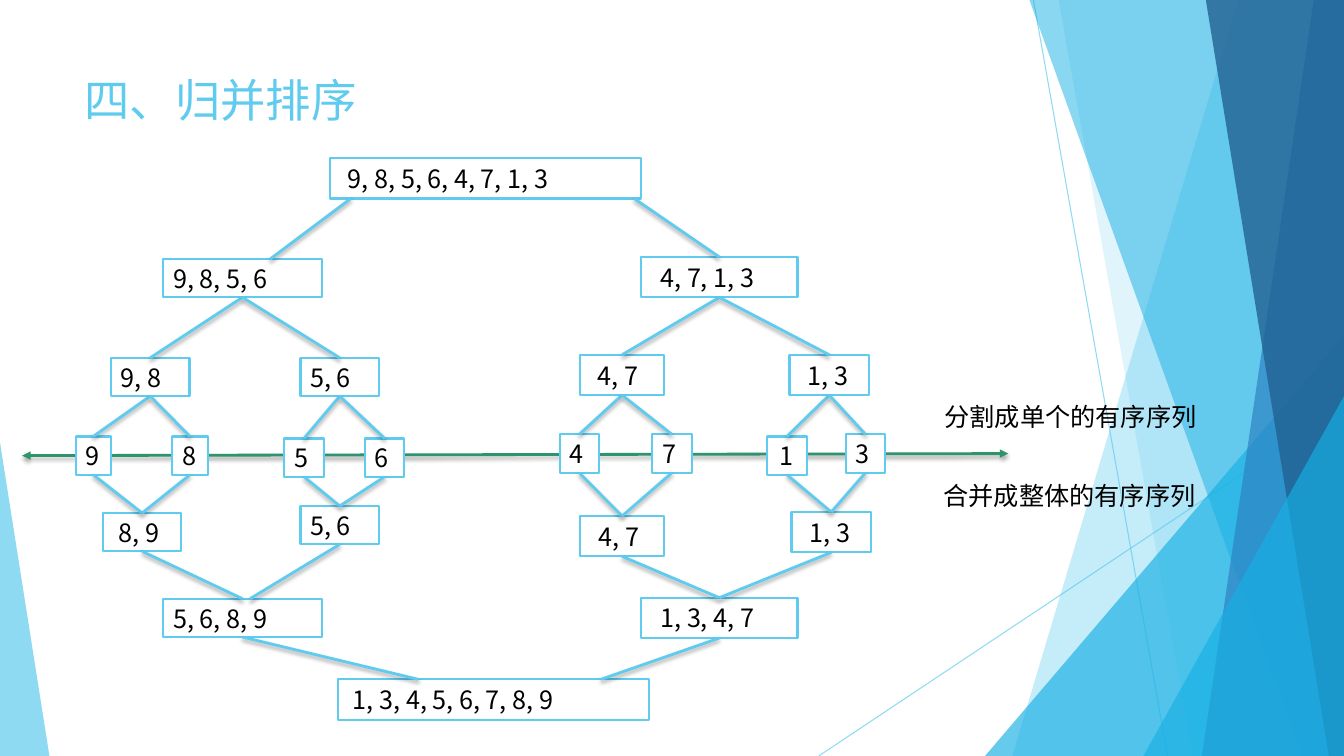
from dataclasses import dataclass
from pptx import Presentation
from pptx.dml.color import RGBColor
from pptx.enum.shapes import MSO_CONNECTOR, MSO_SHAPE
from pptx.enum.text import MSO_ANCHOR, PP_ALIGN
from pptx.oxml.ns import qn
from pptx.util import Inches, Pt
from lxml.etree import SubElement


@dataclass(frozen=True)
class Theme:
    sky: str = "5FCBEF"
    cyan: str = "17B0E4"
    blue: str = "2E83C3"
    navy: str = "226292"
    green: str = "2E946B"
    white: str = "FFFFFF"
    black: str = "000000"
    title_size: float = 32.4
    body_size: float = 18
    title_font: str = "Lato"
    node_font: str = "Noto Sans CJK SC"


@dataclass(frozen=True)
class Box:
    left: float
    top: float
    width: float
    height: float


THEME = Theme()
SLIDE = Box(0, 0, 13.33, 7.5)
ROOT = "98564713"
CHILDREN = {ROOT: ("9856", "4713"), "9856": ("98", "56"), "4713": ("47", "13"),
            "98": "98", "56": "56", "47": "47", "13": "13"}

# Box inside the tree and left inset of the text, for each run of digits
SPLIT_NODES = {
    ROOT: (Box(2.52, 0, 3.09, 0.4), 0.18),
    "9856": (Box(0.87, 1, 1.57, 0.38), 0.1),
    "4713": (Box(5.61, 0.98, 1.55, 0.4), 0.19),
    "98": (Box(0.35, 1.98, 0.78, 0.38), 0.1),
    "56": (Box(2.23, 1.98, 0.78, 0.38), 0.1),
    "47": (Box(5, 1.95, 0.84, 0.4), 0.18),
    "13": (Box(7.08, 1.95, 0.79, 0.4), 0.18),
    "9": (Box(0, 2.76, 0.35, 0.38), 0.1),
    "8": (Box(0.96, 2.76, 0.35, 0.38), 0.1),
    "5": (Box(2.07, 2.78, 0.39, 0.38), 0.1),
    "6": (Box(2.87, 2.78, 0.39, 0.38), 0.1),
    "4": (Box(4.8, 2.74, 0.39, 0.38), 0.1),
    "7": (Box(5.72, 2.74, 0.39, 0.38), 0.1),
    "1": (Box(6.86, 2.76, 0.39, 0.38), 0.12),
    "3": (Box(7.64, 2.74, 0.39, 0.38), 0.1),
}
MERGE_NODES = {
    "98": (Box(0.27, 3.52, 0.78, 0.38), 0.16),
    "56": (Box(2.23, 3.45, 0.78, 0.38), 0.1),
    "47": (Box(5, 3.55, 0.84, 0.4), 0.19),
    "13": (Box(7.1, 3.51, 0.79, 0.4), 0.18),
    "9856": (Box(0.87, 4.37, 1.57, 0.38), 0.1),
    "4713": (Box(5.61, 4.36, 1.55, 0.4), 0.19),
    ROOT: (Box(2.6, 5.17, 3.09, 0.4), 0.15),
}
# Link ends away from the middle of a side: x on the parent, x on the child
SPLIT_ENDS = {(ROOT, "9856"): (2.73, 1.93), (ROOT, "4713"): (5.54, None)}
MERGE_ENDS = {("9856", "56"): (1.73, None), (ROOT, "9856"): (3.4, None),
              (ROOT, "4713"): (5.21, None)}


def color(value):
    return RGBColor.from_string(value)


def apply(target, values):
    for name, value in values.items():
        setattr(target, name, value)


def paint(shape, fill, alpha=100):
    shape.shadow.inherit = False
    shape.fill.solid()
    shape.fill.fore_color.rgb = color(fill)
    shape.line.fill.background()
    set_alpha(shape.fill._xPr, alpha)


def set_alpha(parent, alpha):
    if alpha < 100:
        for element in parent.find(qn("a:solidFill")):
            SubElement(element, qn("a:alpha"), val=str(alpha * 1000))


def write(shape, text, font, size, ink, inset=0.1):
    frame = shape.text_frame
    apply(frame, {"word_wrap": True, "vertical_anchor": MSO_ANCHOR.MIDDLE,
                  "margin_left": Inches(inset), "margin_right": 0,
                  "margin_top": 0, "margin_bottom": 0})
    paragraph = frame.paragraphs[0]
    paragraph.alignment = PP_ALIGN.LEFT
    run = paragraph.add_run()
    run.text = text
    apply(run.font, {"name": font, "size": Pt(size)})
    run.font.color.rgb = color(ink)


def add_line(slide, start, end, ink, width, alpha=100, shadow=True):
    line = slide.shapes.add_connector(
        MSO_CONNECTOR.STRAIGHT, *(Inches(value) for value in (*start, *end)))
    line.line.color.rgb = color(ink)
    line.line.width = Pt(width)
    set_alpha(line.line._get_or_add_ln(), alpha)
    effects = SubElement(line._element.spPr, qn("a:effectLst"))
    if shadow:
        outer = SubElement(effects, qn("a:outerShdw"), blurRad=str(Pt(3)),
                           dist=str(Pt(2)), dir="5400000", rotWithShape="0")
        black = SubElement(outer, qn("a:srgbClr"), val=THEME.black)
        SubElement(black, qn("a:alpha"), val="35000")
    return line


def add_panel(slide, box, top_x, bottom_x, fill, alpha):
    right, bottom = box.left + box.width, box.top + box.height
    corners = [(right, box.top), (right, bottom), (box.left + bottom_x, bottom)]
    builder = slide.shapes.build_freeform(Inches(box.left + top_x), Inches(box.top))
    builder.add_line_segments([(Inches(x), Inches(y)) for x, y in corners])
    paint(builder.convert_to_shape(), fill, alpha)


def add_triangle(slide, box, left, width, height, apex, fill, alpha):
    top = box.top + box.height - height
    triangle = slide.shapes.add_shape(
        MSO_SHAPE.ISOSCELES_TRIANGLE, Inches(box.left + left), Inches(top),
        Inches(width), Inches(height))
    triangle.adjustments[0] = apex
    paint(triangle, fill, alpha)


# Translucent facets along the slide edges
def add_backdrop(slide, box):
    for start, end in (((10.25, 0), (11.58, 7.5)), ((13.33, 4.03), (8.12, 7.5))):
        add_line(slide, (box.left + start[0], box.top + start[1]),
                 (box.left + end[0], box.top + end[1]), THEME.sky, 0.75, 70, False)
    add_panel(slide, box, 12.28, 10.04, THEME.sky, 36)
    add_panel(slide, box, 10.5, 11.83, THEME.sky, 20)
    add_triangle(slide, box, 9.77, 3.56, 4.17, 1, THEME.cyan, 66)
    add_panel(slide, box, 10.21, 12.91, THEME.cyan, 50)
    add_panel(slide, box, 13.03, 11.92, THEME.blue, 70)
    add_panel(slide, box, 11.96, 13.18, THEME.navy, 80)
    add_triangle(slide, box, 11.34, 1.99, 3.57, 1, THEME.cyan, 66)
    add_triangle(slide, box, 0, 0.49, 3.11, 0, THEME.sky, 70)


# Double arrow between splitting and merging
def add_axis(slide, box):
    axis = add_line(slide, (box.left, box.top + box.height),
                    (box.left + box.width, box.top), THEME.green, 2)
    for end in ("a:headEnd", "a:tailEnd"):
        SubElement(axis.line._get_or_add_ln(), qn(end), type="triangle")


def add_label(slide, box, text, size, ink):
    label = slide.shapes.add_textbox(*(Inches(value) for value in (
        box.left, box.top, box.width, box.height)))
    write(label, text, THEME.title_font, size, ink)


def add_node(slide, box, place, text, inset):
    node = slide.shapes.add_shape(
        MSO_SHAPE.RECTANGLE, Inches(box.left + place.left),
        Inches(box.top + place.top), Inches(place.width), Inches(place.height))
    paint(node, THEME.white)
    node.line.color.rgb = color(THEME.sky)
    node.line.width = Pt(1.5)
    write(node, text, THEME.node_font, THEME.body_size, THEME.black, inset)
    return node


def add_link(slide, box, parent, child, ends, sites):
    points = []
    for node, x, site in zip((parent, child), ends, sites):
        left = node.left.inches + node.width.inches / 2 if x is None else box.left + x
        points.append((left, node.top.inches + (node.height.inches if site == 2 else 0)))
    link = add_line(slide, *points, THEME.sky, 2)
    if ends[0] is None:
        link.begin_connect(parent, sites[0])
    if ends[1] is None:
        link.end_connect(child, sites[1])


# Runs split downwards to single digits, then merge in order
def add_sort_tree(slide, box):
    split = {run: add_node(slide, box, place, ", ".join(run), inset)
             for run, (place, inset) in SPLIT_NODES.items()}
    merged = {run: add_node(slide, box, place, ", ".join(sorted(run)), inset)
              for run, (place, inset) in MERGE_NODES.items()}
    stages = ((split, SPLIT_ENDS, (2, 0)), (split | merged, MERGE_ENDS, (0, 2)))
    for nodes, special_ends, sites in stages:
        for parent, children in CHILDREN.items():
            for child in children:
                ends = special_ends.get((parent, child), (None, None))
                add_link(slide, box, nodes[parent], nodes[child], ends, sites)


def main():
    presentation = Presentation()
    apply(presentation, {"slide_width": Inches(SLIDE.width),
                         "slide_height": Inches(SLIDE.height)})
    slide = presentation.slides.add_slide(presentation.slide_layouts[6])
    add_backdrop(slide, SLIDE)
    add_axis(slide, Box(0.22, 4.5, 9.78, 0.02))
    add_label(slide, Box(0.74, 0.67, 9.4, 0.63), "四、归并排序", THEME.title_size, THEME.sky)
    add_sort_tree(slide, Box(0.75, 1.57, 8.03, 5.57))
    add_label(slide, Box(9.27, 3.93, 2.8, 0.4), "分割成单个的有序序列", THEME.body_size, THEME.black)
    add_label(slide, Box(9.26, 4.72, 2.8, 0.4), "合并成整体的有序序列", THEME.body_size, THEME.black)
    presentation.save("out.pptx")


if __name__ == "__main__":
    main()
